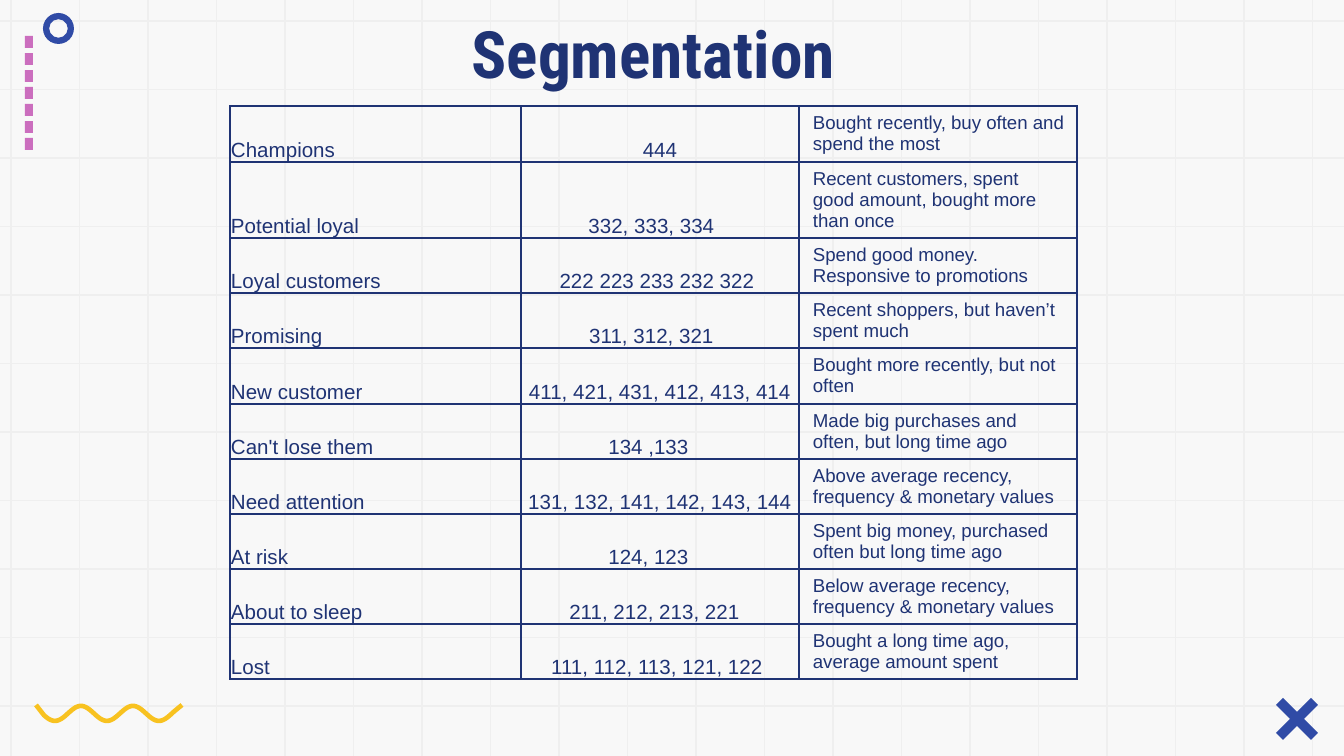
from math import cos, pi

from pptx import Presentation
from pptx.dml.color import RGBColor
from pptx.enum.shapes import MSO_CONNECTOR, MSO_SHAPE
from pptx.enum.text import MSO_ANCHOR, PP_ALIGN
from pptx.oxml.ns import qn
from pptx.util import Pt
from lxml.etree import SubElement

PX = 9144000 / 1344
WIDTH, HEIGHT = 1344, 756

THEME = {
    "paper": "F8F8F8", "grid": "EFEFEF", "navy": "1F3374",
    "blue": "304BA6", "pink": "CB6EBE", "yellow": "F8C220",
    "title": {"name": "Roboto Condensed", "size": Pt(35), "bold": True},
    "label": {"name": "Arial", "size": Pt(11)},
    "detail": {"name": "Arial", "size": Pt(10)},
}


def emu(*lengths):
    """Turn px lengths into a list of EMU."""
    return [round(length * PX) for length in lengths]


def write(frame, text, style, align):
    para = frame.paragraphs[0]
    para.alignment = align
    span = para.add_run()
    span.text = text
    for name, value in THEME[style].items():
        setattr(span.font, name, value)
    span.font.color.rgb = RGBColor.from_string(THEME["navy"])


deck = Presentation()
deck.slide_width, deck.slide_height = emu(WIDTH, HEIGHT)
page = deck.slides.add_slide(deck.slide_layouts[6])
page.background.fill.solid()
page.background.fill.fore_color.rgb = RGBColor.from_string(THEME["paper"])
shapes = page.shapes

# Background grid
GRID_STEP = 68.5
rows_y = [21 + GRID_STEP * i for i in range(11)]
columns_x = [11 + GRID_STEP * i for i in range(20)]
grid_lines = [(0, y, WIDTH, y) for y in rows_y]
grid_lines += [(x, 0, x, HEIGHT) for x in columns_x]
for ends in grid_lines:
    line = shapes.add_connector(MSO_CONNECTOR.STRAIGHT, *emu(*ends))
    line.line.color.rgb = RGBColor.from_string(THEME["grid"])
    line.line.width = Pt(0.75)
    SubElement(line._element.spPr, qn("a:effectLst"))

# Corner ornaments: dashes, ring and cross
ornaments = []
for i in range(7):
    dash = shapes.add_shape(MSO_SHAPE.RECTANGLE, *emu(25, 36 + 17 * i, 8, 12))
    ornaments.append((dash, "pink"))

ring = shapes.add_shape(MSO_SHAPE.DONUT, *emu(43, 13, 31, 31))
ring.adjustments[0] = 0.2
ornaments.append((ring, "blue"))

CROSS_X, CROSS_Y = 1297, 719
bar = [(14, -21), (21, -14), (-14, 21), (-21, 14)]
for side in (1, -1):
    corners = [(CROSS_X + side * x, CROSS_Y + y) for x, y in bar]
    builder = shapes.build_freeform(*corners[0], scale=PX)
    builder.add_line_segments(corners[1:])
    ornaments.append((builder.convert_to_shape(), "blue"))

for shape, color in ornaments:
    shape.shadow.inherit = False
    shape.fill.solid()
    shape.fill.fore_color.rgb = RGBColor.from_string(THEME[color])
    shape.line.fill.background()

# Wave: cosine with straight ends, drawn in EMU to stay smooth
wave_points = [emu(x, 713.5 - 7.5 * cos(2 * pi * (x - 81) / 52))
               for x in range(44, 175)]
builder = shapes.build_freeform(*emu(36, 705))
builder.add_line_segments(wave_points + [emu(182, 705)], close=False)
wave = builder.convert_to_shape()
wave.shadow.inherit = False
wave.fill.background()
wave.line.color.rgb = RGBColor.from_string(THEME["yellow"])
wave.line.width = Pt(2.5)

# Title
title = shapes.add_textbox(*emu(87, 0, 1133, 84))
frame = title.text_frame
frame_format = {
    "word_wrap": True, "vertical_anchor": MSO_ANCHOR.TOP,
    "margin_left": emu(13)[0], "margin_right": emu(13)[0],
    "margin_top": emu(13)[0], "margin_bottom": emu(13)[0],
}
for name, value in frame_format.items():
    setattr(frame, name, value)
write(frame, "Segmentation", "title", PP_ALIGN.CENTER)

# Segment, scores, extra right margin of the scores in px, description
SEGMENTS = [
    ("Champions", "444", 0, "Bought recently, buy often and spend the most"),
    ("Potential loyal", "332, 333, 334", 17,
     "Recent customers, spent good amount, bought more than once"),
    ("Loyal customers", "222 223 233 232 322", 6,
     "Spend good money. Responsive to promotions"),
    ("Promising", "311, 312, 321", 17,
     "Recent shoppers, but haven’t spent much"),
    ("New customer", "411, 421, 431, 412, 413, 414", 0,
     "Bought more recently, but not often"),
    ("Can't lose them", "134 ,133", 23,
     "Made big purchases and often, but long time ago"),
    ("Need attention", "131, 132, 141, 142, 143, 144", 0,
     "Above average recency, frequency & monetary values"),
    ("At risk", "124, 123", 23,
     "Spent big money, purchased often but long time ago"),
    ("About to sleep", "211, 212, 213, 221", 11,
     "Below average recency, frequency & monetary values"),
    ("Lost", "111, 112, 113, 121, 122", 6,
     "Bought a long time ago, average amount spent"),
]
COLUMN_WIDTHS = [291, 278, 278]
ROW_HEIGHTS = [56, 76, 55, 55, 56] + [55] * 5

holder = shapes.add_table(len(SEGMENTS), 3, *emu(
    230, 106, sum(COLUMN_WIDTHS), sum(ROW_HEIGHTS)))
table = holder.table
table.first_row = table.horz_banding = False
for column, width in zip(table.columns, emu(*COLUMN_WIDTHS)):
    column.width = width
for row, height in zip(table.rows, emu(*ROW_HEIGHTS)):
    row.height = height

for row, (segment, scores, spare, description) in zip(table.rows, SEGMENTS):
    # Text, style, alignment, anchor, margins left, right, top, bottom
    entries = [
        (segment, "label", PP_ALIGN.LEFT, MSO_ANCHOR.BOTTOM, (1, 1, 1, 0)),
        (scores, "label", PP_ALIGN.CENTER, MSO_ANCHOR.BOTTOM,
         (1, 1 + spare, 1, 0)),
        (description, "detail", PP_ALIGN.LEFT, MSO_ANCHOR.TOP,
         (14, 12, 7, 1)),
    ]
    for cell, (text, style, align, anchor, margins) in zip(row.cells, entries):
        write(cell.text_frame, text, style, align)
        cell.vertical_anchor = anchor
        for side, margin in zip(("left", "right", "top", "bottom"),
                                emu(*margins)):
            setattr(cell, f"margin_{side}", margin)
        properties = cell._tc.get_or_add_tcPr()
        for edge in ("a:lnL", "a:lnR", "a:lnT", "a:lnB"):
            border = SubElement(properties, qn(edge), w=str(Pt(1)))
            fill = SubElement(border, qn("a:solidFill"))
            SubElement(fill, qn("a:srgbClr"), val=THEME["navy"])
        cell.fill.background()

deck.save("out.pptx")
